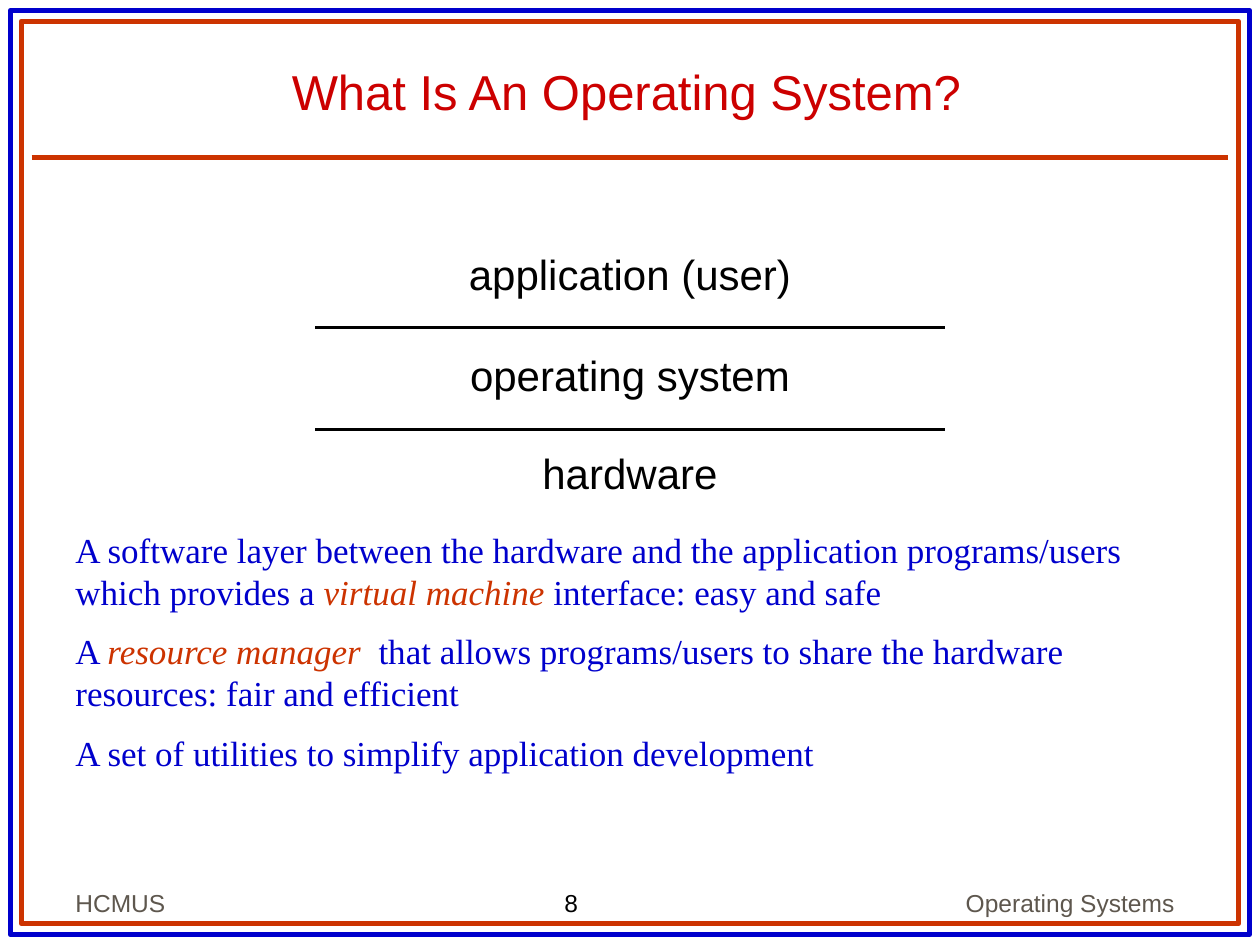
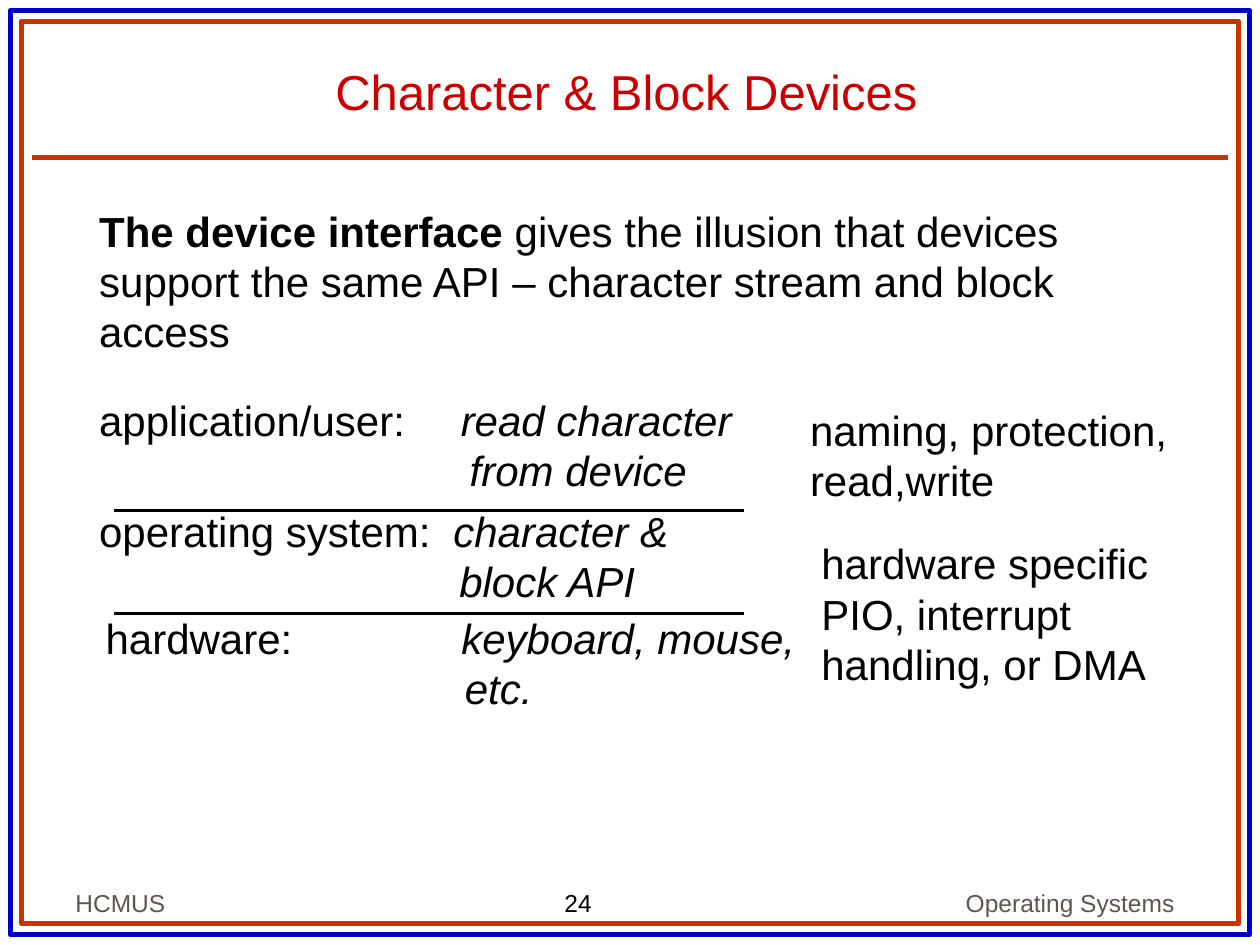
from lxml import etree
from pptx import Presentation
from pptx.dml.color import RGBColor
from pptx.enum.shapes import MSO_CONNECTOR as CONN, MSO_SHAPE as SHAPE
from pptx.enum.text import MSO_ANCHOR as ANCHOR, PP_ALIGN as ALIGN
from pptx.oxml.ns import qn
from pptx.util import Cm, Pt

BLUE = RGBColor(0x00, 0x00, 0xCC)
ORANGE = RGBColor(0xCC, 0x33, 0x00)
RED = RGBColor(0xCC, 0x00, 0x00)
GREY = RGBColor(0x5E, 0x57, 0x4E)
BLACK = RGBColor(0x00, 0x00, 0x00)
SANS, SERIF = "Arial", "Times New Roman"
WIDTH, HEIGHT = 25.4, 19.05


def add_run(p, text, size=24, color=BLACK, font=SANS, bold=False, italic=False):
    """Append one formatted run to a paragraph."""
    r = p.add_run()
    r.text = text
    r.font.size, r.font.name = Pt(size), font
    r.font.color.rgb = color
    r.font.bold, r.font.italic = bold, italic


def add_text(slide, box, paragraphs, align=ALIGN.LEFT, anchor=ANCHOR.TOP, before=0):
    """Place a text box of paragraphs, each a list of (text, format) runs."""
    tf = slide.shapes.add_textbox(*map(Cm, box)).text_frame
    tf.word_wrap, tf.vertical_anchor = True, anchor
    for i, runs in enumerate(paragraphs):
        p = tf.add_paragraph() if i else tf.paragraphs[0]
        p.alignment, p.space_before = align, Pt(before)
        for text, style in runs:
            add_run(p, text, **style)
    return tf


def add_line(slide, x, y, width, color, weight):
    """Draw a horizontal line without a shadow."""
    line = slide.shapes.add_connector(CONN.STRAIGHT, Cm(x), Cm(y), Cm(x + width), Cm(y))
    line.line.color.rgb, line.line.width = color, Pt(weight)
    etree.SubElement(line._element.spPr, qn("a:effectLst"))


def add_dividers(slide, box):
    """Draw the two lines that bound the operating system layer."""
    x, y, width, height = box
    for line_y in (y, y + height):
        add_line(slide, x, line_y, width, BLACK, 2)


def set_indent(p, tab=None, margin=None):
    """Give a paragraph a left tab stop or a left margin, in centimetres."""
    pPr = p._p.get_or_add_pPr()
    if margin is not None:
        pPr.set("marL", str(Cm(margin)))
        pPr.set("indent", "0")
    if tab is not None:
        tabs = etree.SubElement(pPr, qn("a:tabLst"))
        etree.SubElement(tabs, qn("a:tab"), pos=str(Cm(tab)), algn="l")


def add_frame(slide):
    """Draw the double border and the rule under the title."""
    for inset, color in ((0.21, BLUE), (0.43, ORANGE)):
        sp = slide.shapes.add_shape(SHAPE.RECTANGLE, Cm(inset), Cm(inset),
                                    Cm(WIDTH - 2 * inset), Cm(HEIGHT - 2 * inset))
        sp.shadow.inherit = False
        sp.fill.background()
        sp.line.color.rgb, sp.line.width = color, Pt(3)
    add_line(slide, 0.64, 3.18, WIDTH - 1.28, ORANGE, 3)


def add_footer(slide, number):
    """Write the school, the slide number and the course."""
    grey = dict(size=14, color=GREY)
    add_text(slide, (11.13, 17.78, 2.77, 0.86), [[(str(number), dict(size=14))]])
    add_text(slide, (1.27, 17.35, 5.28, 1.27), [[("HCMUS", grey)]], anchor=ANCHOR.BOTTOM)
    add_text(slide, (16.94, 17.35, 6.99, 1.27), [[("Operating Systems", grey)]],
             ALIGN.RIGHT, ANCHOR.BOTTOM)


def new_slide(prs, title, number):
    """Add a framed slide with its title and footer."""
    slide = prs.slides.add_slide(prs.slide_layouts[5])
    add_frame(slide)
    add_footer(slide, number)
    sp = slide.shapes.title
    sp.left, sp.top, sp.width, sp.height = map(Cm, (1.12, 0.64, 23.01, 1.91))
    tf = sp.text_frame
    tf.word_wrap, tf.vertical_anchor = True, ANCHOR.BOTTOM
    p = tf.paragraphs[0]
    p.alignment = ALIGN.CENTER
    add_run(p, title, 28, RED)
    return slide


def add_layers(slide, box):
    """Stack the three system layers around their dividers."""
    x, y, width, height = box
    add_dividers(slide, (x, y, width, height))
    for offset, name in ((-1.72, "application (user)"), (0.33, "operating system"),
                         (2.29, "hardware")):
        add_text(slide, (x, y + offset, width, 1.27), [[(name, {})]], ALIGN.CENTER)


def add_definitions(slide, box):
    """Write the definitions with their key terms in orange italics."""
    plain = dict(size=20, color=BLUE, font=SERIF)
    term = dict(size=20, color=ORANGE, font=SERIF, italic=True)
    add_text(slide, box, [
        [("A software layer between the hardware and the application programs/users "
          "which provides a ", plain),
         ("virtual machine", term), (" interface: easy and safe", plain)],
        [("A ", plain), ("resource manager", term),
         ("  that allows programs/users to share the hardware resources: "
          "fair and efficient", plain)],
        [("A set of utilities to simplify application development", plain)],
    ], before=10)


def add_device_layers(slide, box):
    """Write each layer's label and two-line example around the dividers."""
    x, y, width, height = box
    add_dividers(slide, box)
    italic = dict(italic=True)
    rows = (
        (-0.54, -2.47, "application/user:", "read character", "from device", 7.29, 7.47),
        (-0.54, -0.23, "operating system:", "character &", "block API", 7.14, 7.26),
        (-0.41, 1.93, "hardware:", "keyboard, mouse,", "etc.", 7.17, 7.24),
    )
    for dx, dy, label, first, second, tab, margin in rows:
        tf = add_text(slide, (x + dx, y + dy, width + 1.73, 2.29), [
            [(label + "\t", {}), (first, italic)],
            [(second, italic)],
        ])
        set_indent(tf.paragraphs[0], tab=tab)
        set_indent(tf.paragraphs[1], margin=margin)


def add_side_notes(slide, box):
    """Write the two notes to the right of the layers."""
    x, y, width, height = box
    add_text(slide, (x, y, width, 2.29),
             [[("naming, protection,", {})], [("read,write", {})]])
    add_text(slide, (x + 0.23, y + height - 3.3, width, 3.3),
             [[("hardware specific", {})], [("PIO, interrupt handling, or DMA", {})]])


def build_definition_slide(prs):
    """Build the slide that defines an operating system."""
    slide = new_slide(prs, "What Is An Operating System?", 8)
    add_definitions(slide, (1.27, 10.52, 22.71, 6.3))
    add_layers(slide, (6.35, 6.6, 12.7, 2.06))


def build_device_slide(prs):
    """Build the slide about the device interface."""
    slide = new_slide(prs, "Character & Block Devices", 24)
    add_text(slide, (1.75, 4.01, 21.34, 3.3), [[
        ("The device interface", dict(bold=True)),
        (" gives the illusion that devices support the same API – character stream "
         "and block access", {}),
    ]])
    add_device_layers(slide, (2.29, 10.29, 12.7, 2.08))
    add_side_notes(slide, (16.08, 8.03, 8.48, 5.99))


def main():
    """Build and save the presentation."""
    prs = Presentation()
    prs.slide_width, prs.slide_height = Cm(WIDTH), Cm(HEIGHT)
    build_definition_slide(prs)
    build_device_slide(prs)
    prs.save("out.pptx")


if __name__ == "__main__":
    main()
